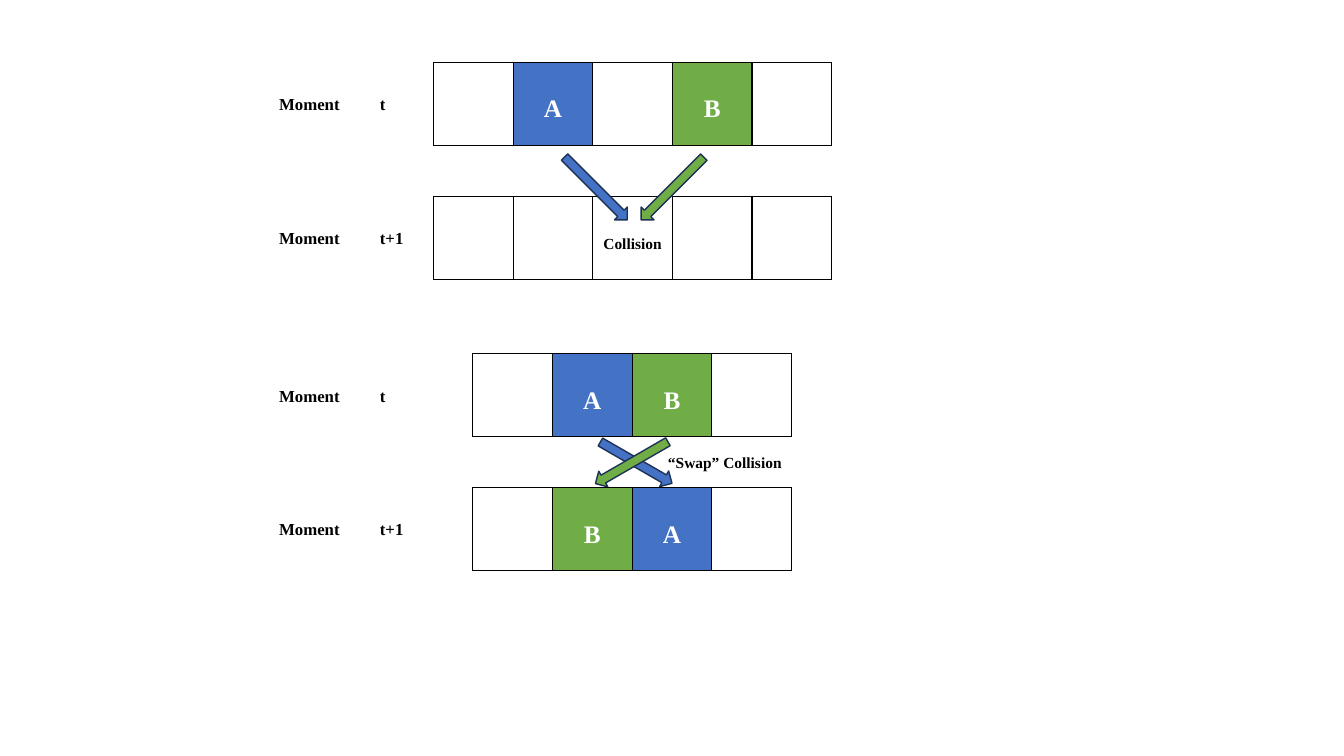
"""Build a slide that shows a cell collision and a swap collision of two agents."""
from dataclasses import dataclass

from lxml.etree import SubElement
from pptx import Presentation
from pptx.dml.color import RGBColor
from pptx.enum.shapes import MSO_SHAPE
from pptx.enum.text import MSO_AUTO_SIZE, PP_ALIGN
from pptx.oxml.ns import qn
from pptx.slide import Slide
from pptx.table import _Cell
from pptx.util import Inches, Pt

FONT = "Times New Roman"
BLACK, WHITE, BLUE, GREEN, NAVY = "000000", "FFFFFF", "4472C4", "70AD47", "1E3256"
AGENT_FILL = {"A": BLUE, "B": GREEN}
CELL_W, CELL_H, ARROW_H = 0.79, 0.82, 0.18


@dataclass
class Row:
    left: float
    top: float
    cells: list[str]


@dataclass
class Label:
    text: str
    left: float
    top: float
    width: float
    size: int = 12
    align: PP_ALIGN = PP_ALIGN.LEFT


@dataclass
class Arrow:
    left: float
    top: float
    width: float
    rotation: int
    fill: str


ROWS = [
    Row(4.3, 0.62, ["", "A", "", "B", ""]),
    Row(4.3, 1.95, ["", "", "Collision", "", ""]),
    Row(4.69, 3.51, ["", "A", "B", ""]),
    Row(4.69, 4.84, ["", "B", "A", ""]),
]
LABELS = [
    Label("Moment\tt", 2.67, 0.88, 1.26),
    Label("Moment\tt+1", 2.67, 2.21, 1.44),
    Label("Moment\tt", 2.67, 3.78, 1.26),
    Label("Moment\tt+1", 2.67, 5.1, 1.44),
    Label("“Swap” Collision", 6.52, 4.45, 1.34, 11, PP_ALIGN.CENTER),
]
COLLISION_ARROWS = [
    Arrow(5.47, 1.78, 0.88, 45, BLUE),
    Arrow(6.23, 1.78, 0.88, 135, GREEN),
]
SWAP_ARROWS = [
    Arrow(5.9, 4.5, 0.82, 30, BLUE),
    Arrow(5.85, 4.5, 0.83, 150, GREEN),
]


def rgb(color: str) -> RGBColor:
    return RGBColor.from_string(color)


def format_text(p, size: int, color: str, align: PP_ALIGN) -> None:
    p.alignment = align
    for r in p.runs:
        r.font.name = FONT
        r.font.size = Pt(size)
        r.font.bold = True
        r.font.color.rgb = rgb(color)


def add_borders(cell: _Cell) -> None:
    tc_pr = cell._tc.get_or_add_tcPr()
    for side in ("lnL", "lnR", "lnT", "lnB"):
        ln = SubElement(tc_pr, qn(f"a:{side}"), w=str(Pt(1)))
        SubElement(SubElement(ln, qn("a:solidFill")), qn("a:srgbClr"), val=BLACK)


def add_row(s: Slide, row: Row) -> None:
    count = len(row.cells)
    table = s.shapes.add_table(1, count, Inches(row.left), Inches(row.top),
                               Inches(CELL_W * count), Inches(CELL_H)).table
    table.first_row = table.horz_banding = False
    for column, cell, text in zip(table.columns, table.iter_cells(), row.cells):
        column.width = Inches(CELL_W)
        add_borders(cell)
        cell.fill.solid()
        cell.fill.fore_color.rgb = rgb(AGENT_FILL.get(text, WHITE))
        if text:
            is_agent = text in AGENT_FILL
            cell.text_frame.text = text
            p = cell.text_frame.paragraphs[0]
            p.line_spacing = 2.0 if is_agent else 3.0
            format_text(p, 18 if is_agent else 11, WHITE if is_agent else BLACK,
                        PP_ALIGN.CENTER)


def add_label(s: Slide, label: Label) -> None:
    sp = s.shapes.add_textbox(Inches(label.left), Inches(label.top),
                              Inches(label.width), Inches(0.3))
    tf = sp.text_frame
    tf.word_wrap = False
    tf.auto_size = MSO_AUTO_SIZE.SHAPE_TO_FIT_TEXT
    tf.text = label.text
    format_text(tf.paragraphs[0], label.size, BLACK, label.align)


def add_arrow(shapes, arrow: Arrow) -> None:
    sp = shapes.add_shape(MSO_SHAPE.RIGHT_ARROW, Inches(arrow.left), Inches(arrow.top),
                          Inches(arrow.width), Inches(ARROW_H))
    sp.rotation = arrow.rotation
    sp.shadow.inherit = False
    sp.fill.solid()
    sp.fill.fore_color.rgb = rgb(arrow.fill)
    sp.line.color.rgb = rgb(NAVY)
    sp.line.width = Pt(1)


def main() -> None:
    prs = Presentation()
    prs.slide_width, prs.slide_height = Inches(13.33), Inches(7.5)
    s = prs.slides.add_slide(prs.slide_layouts[6])
    for row in ROWS[:-1]:
        add_row(s, row)
    for arrow in COLLISION_ARROWS:
        add_arrow(s.shapes, arrow)
    swap_group = s.shapes.add_group_shape()
    for arrow in SWAP_ARROWS:
        add_arrow(swap_group.shapes, arrow)
    add_row(s, ROWS[-1])
    for label in LABELS:
        add_label(s, label)
    prs.save("out.pptx")


if __name__ == "__main__":
    main()
